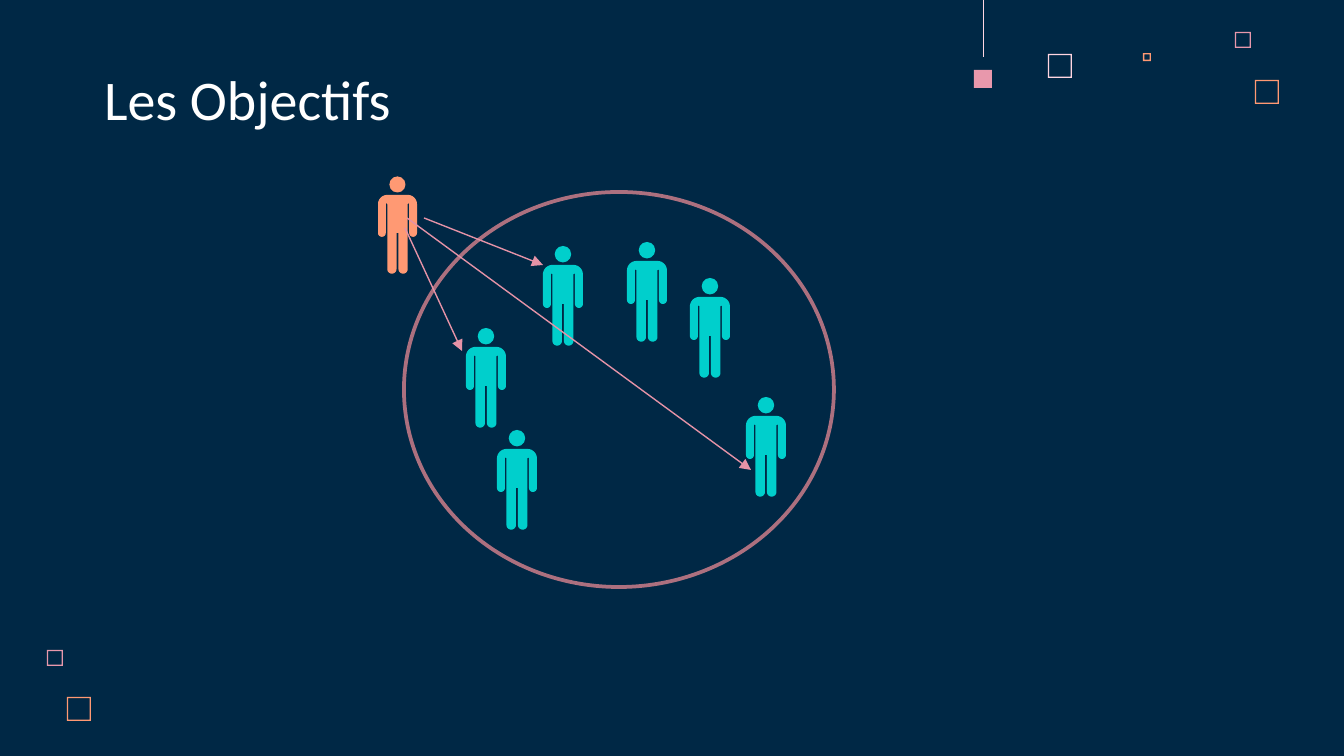
import math

import pptx
import pptx.dml.color
import pptx.enum.shapes
import pptx.enum.text
import pptx.oxml.ns
import pptx.util
from lxml import etree

RGB = pptx.dml.color.RGBColor
NAVY = RGB(0x00, 0x28, 0x45)
WHITE = RGB(0xFF, 0xFF, 0xFF)
BLUSH = RGB(0xFF, 0xD6, 0xE1)
PINK = RGB(0xE8, 0x98, 0xAC)
ORANGE = RGB(0xFF, 0x99, 0x73)
TEAL = RGB(0x00, 0xCF, 0xCC)
MAUVE = RGB(0xAC, 0x70, 0x7F)
ROSE = RGB(0xE5, 0x93, 0xA7)

SHAPE = pptx.enum.shapes.MSO_SHAPE
PX = 914400 / 134.4


def emu(*vals):
    return [round(val * PX) for val in vals]


def paint(shape, color):
    shape.shadow.inherit = False
    shape.fill.solid()
    shape.fill.fore_color.rgb = color
    shape.line.fill.background()


deck = pptx.Presentation()
deck.slide_width, deck.slide_height = emu(1344, 756)
slide = deck.slides.add_slide(deck.slide_layouts[6])
slide.background.fill.solid()
slide.background.fill.fore_color.rgb = NAVY
shapes = slide.shapes

# Corner squares: left, top, side, colour
frames = [
    (1048, 54, 24, BLUSH),
    (1235, 32, 16, PINK),
    (1143, 53, 8, ORANGE),
    (1255, 80, 24, ORANGE),
    (47, 650, 16, PINK),
    (67, 697, 24, ORANGE),
]
for left, top, side, color in frames:
    frame = shapes.add_shape(SHAPE.FRAME, *emu(left, top, side, side))
    frame.adjustments[0] = 1.3 / side
    paint(frame, color)

# Square hanging on a thread
for box, color in [((974, 70, 18, 18), PINK), ((983, 0, 1, 57), BLUSH)]:
    paint(shapes.add_shape(SHAPE.RECTANGLE, *emu(*box)), color)

# Title
title = shapes.add_textbox(*emu(91, 60, 695, 85))
frame = title.text_frame
inset = emu(13)[0]
look = {
    "word_wrap": True,
    "vertical_anchor": pptx.enum.text.MSO_ANCHOR.BOTTOM,
    "margin_left": inset,
    "margin_right": inset,
    "margin_top": inset,
    "margin_bottom": inset,
}
for name, val in look.items():
    setattr(frame, name, val)
run = frame.paragraphs[0].add_run()
run.text = "Les Objectifs"
for name, val in {"name": "Calibri", "size": pptx.util.Pt(30)}.items():
    setattr(run.font, name, val)
run.font.color.rgb = WHITE

# Left half of a body on an 80 x 162 grid, from the neck to the crotch:
# arcs are (centre x, centre y, radius, first angle, last angle)
half = []
arcs = {
    "shoulder": (19, 19, 19, 270, 180),
    "hand": (8, 78, 8, 180, 0),
    "armpit": (17.5, 19, 1.5, 180, 360),
    "foot": (28.5, 152, 9.5, 180, 0),
}
for mid_x, mid_y, radius, first, last in arcs.values():
    for step in range(13):
        turn = math.radians(first + (last - first) * step / 12)
        half.append((mid_x + radius * math.cos(turn),
                     mid_y + radius * math.sin(turn)))
half.append((38, 78))
body = half + [(80 - x, y) for x, y in reversed(half)]

# People: left and top of the body, its width, colour
people = [
    (378, 195, 39, ORANGE),
    (690, 297, 40, TEAL),
    (627, 261, 40, TEAL),
    (543, 265, 40, TEAL),
    (466, 347, 40, TEAL),
    (497, 449, 40, TEAL),
    (746, 416, 40, TEAL),
]
for left, top, width, color in people:
    unit = width / 80
    group = shapes.add_group_shape()
    dots = [emu(left + x * unit, top + y * unit) for x, y in body]
    pen = group.shapes.build_freeform(*dots[0])
    pen.add_line_segments(dots[1:], close=True)
    paint(pen.convert_to_shape(), color)
    head = group.shapes.add_shape(SHAPE.OVAL, *emu(
        left + 23.5 * unit, top - 38 * unit, 33 * unit, 33 * unit))
    paint(head, color)

    # The circle lies over the outsider and under the others
    if color == ORANGE:
        ring = shapes.add_shape(SHAPE.OVAL, *emu(404, 192, 430, 395))
        ring.shadow.inherit = False
        ring.fill.background()
        ring.line.color.rgb = MAUVE
        ring.line.width = pptx.util.Pt(2)

# Arrows from the outsider into the circle
arrows = [(424, 218, 543, 265), (405, 228, 462, 351), (407, 218, 751, 470)]
for ends in arrows:
    arrow = shapes.add_connector(
        pptx.enum.shapes.MSO_CONNECTOR.STRAIGHT, *emu(*ends))
    arrow.line.color.rgb = ROSE
    arrow.line.width = pptx.util.Pt(0.75)
    tip = etree.SubElement(
        arrow.line._get_or_add_ln(), pptx.oxml.ns.qn("a:tailEnd"))
    tip.set("type", "triangle")
    etree.SubElement(
        arrow._element.spPr, pptx.oxml.ns.qn("a:effectLst"))

deck.save("out.pptx")
